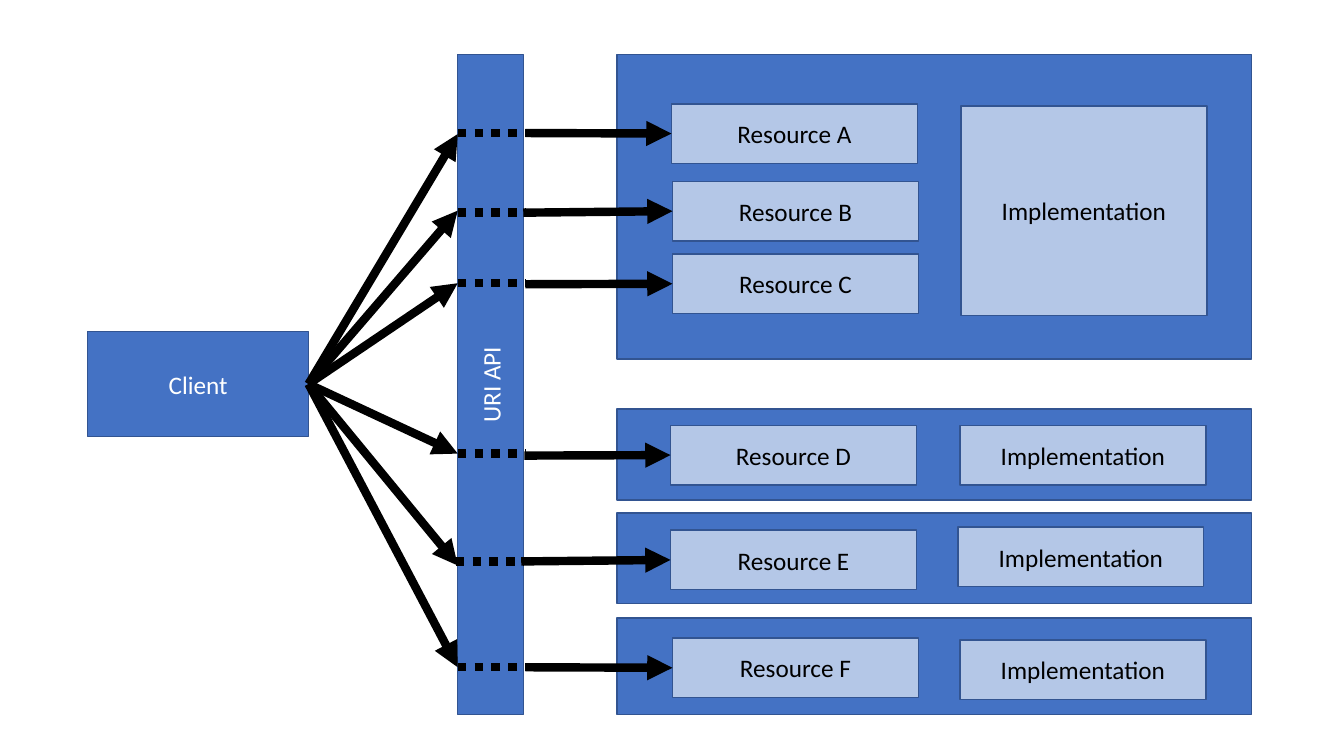
from dataclasses import dataclass

from lxml.etree import SubElement
from pptx import Presentation
from pptx.dml.color import RGBColor
from pptx.enum.dml import MSO_LINE_DASH_STYLE as Dash
from pptx.enum.shapes import MSO_CONNECTOR as Conn, MSO_SHAPE as Kind
from pptx.enum.text import MSO_ANCHOR as Anchor, PP_ALIGN as Align
from pptx.oxml.ns import qn
from pptx.util import Inches, Pt


@dataclass(frozen=True)
class Theme:
    blue: str = "4472C4"
    pale: str = "B4C7E7"
    edge: str = "325491"
    black: str = "000000"
    white: str = "FFFFFF"
    font: str = "Calibri"
    size: float = 18
    thin: float = 1
    thick: float = 6


LEFT, RIGHT = 1, 3
BOX_W, BOX_H = 2.44, 0.59
PANEL_X, PANEL_W = 6.12, 6.29
BAR_X, DOT_W = 4.54, 0.67

# top, height
PANELS = [(0.54, 3.02), (4.06, 0.9), (5.09, 0.9), (6.13, 0.96)]

# letter, box left, box top, arrow start x, arrow start y, fan tip y, dots left, dots y
ROUTES = [
    ("A", 6.66, 1.03, 5.21, 1.32, 1.33, 4.54, 1.32),
    ("B", 6.67, 1.80, 5.19, 2.11, 2.09, 4.54, 2.11),
    ("C", 6.67, 2.52, 5.21, 2.82, 2.81, 4.54, 2.81),
    ("D", 6.65, 4.22, 5.20, 4.52, 4.50, 4.54, 4.50),
    ("E", 6.65, 5.26, 5.17, 5.57, 5.61, 4.52, 5.57),
    ("F", 6.67, 6.33, 5.21, 6.62, 6.62, 4.54, 6.62),
]

# left, top, height
IMPLS = [(9.53, 1.05, 2.08), (9.52, 4.22, BOX_H),
         (9.50, 5.23, BOX_H), (9.52, 6.35, BOX_H)]


def write(shape, text, *, color, font, size, align=Align.CENTER):
    frame = shape.text_frame
    frame.word_wrap = True
    frame.vertical_anchor = Anchor.MIDDLE
    para = frame.paragraphs[0]
    para.alignment = align
    run = para.add_run()
    run.text = text
    run.font.name = font
    run.font.size = Pt(size)
    run.font.color.rgb = RGBColor.from_string(color)


class Board:
    """Draws on one slide in one style."""

    def __init__(self, slide, theme):
        self.slide = slide
        self.theme = theme

    def box(self, x, y, w, h, text="", fill=None, color=None, turn=0):
        look = self.theme
        shape = self.slide.shapes.add_shape(
            Kind.RECTANGLE, Inches(x), Inches(y), Inches(w), Inches(h))
        shape.rotation = turn
        shape.shadow.inherit = False
        shape.fill.solid()
        shape.fill.fore_color.rgb = RGBColor.from_string(fill or look.blue)
        shape.line.color.rgb = RGBColor.from_string(look.edge)
        shape.line.width = Pt(look.thin)
        if text:
            write(shape, text, color=color or look.white,
                  font=look.font, size=look.size)
        return shape

    def card(self, x, y, h, text):
        return self.box(x, y, BOX_W, h, text, self.theme.pale, self.theme.black)

    def line(self, x1, y1, x2, y2):
        line = self.slide.shapes.add_connector(
            Conn.STRAIGHT, Inches(x1), Inches(y1), Inches(x2), Inches(y2))
        line.line.color.rgb = RGBColor.from_string(self.theme.black)
        line.line.width = Pt(self.theme.thick)
        SubElement(line._element.spPr, qn("a:effectLst"))
        return line

    def dots(self, x, y):
        self.line(x, y, x + DOT_W, y).line.dash_style = Dash.ROUND_DOT

    def arrow(self, x1, y1, x2, y2):
        line = self.line(x1, y1, x2, y2)
        SubElement(line.line._get_or_add_ln(), qn("a:tailEnd"), type="triangle")
        return line


def main():
    deck = Presentation()
    deck.slide_width, deck.slide_height = Inches(13.33), Inches(7.5)
    board = Board(deck.slides.add_slide(deck.slide_layouts[6]), Theme())

    for top, high in PANELS:
        board.box(PANEL_X, top, PANEL_W, high)
    board.box(1.59, 3.49, 6.55, 0.65, "URI API", turn=270)
    client = board.box(0.87, 3.29, 2.19, 1.04, "Client")

    for name, x, y, out_x, out_y, tip, dot_x, dot_y in ROUTES:
        card = board.card(x, y, BOX_H, f"Resource {name}")
        board.arrow(out_x, out_y, x, y + BOX_H / 2).end_connect(card, LEFT)
        board.dots(dot_x, dot_y)
        board.arrow(3.06, 3.81, BAR_X, tip).begin_connect(client, RIGHT)

    for x, y, high in IMPLS:
        board.card(x, y, high, "Implementation")

    deck.save("out.pptx")


if __name__ == "__main__":
    main()
